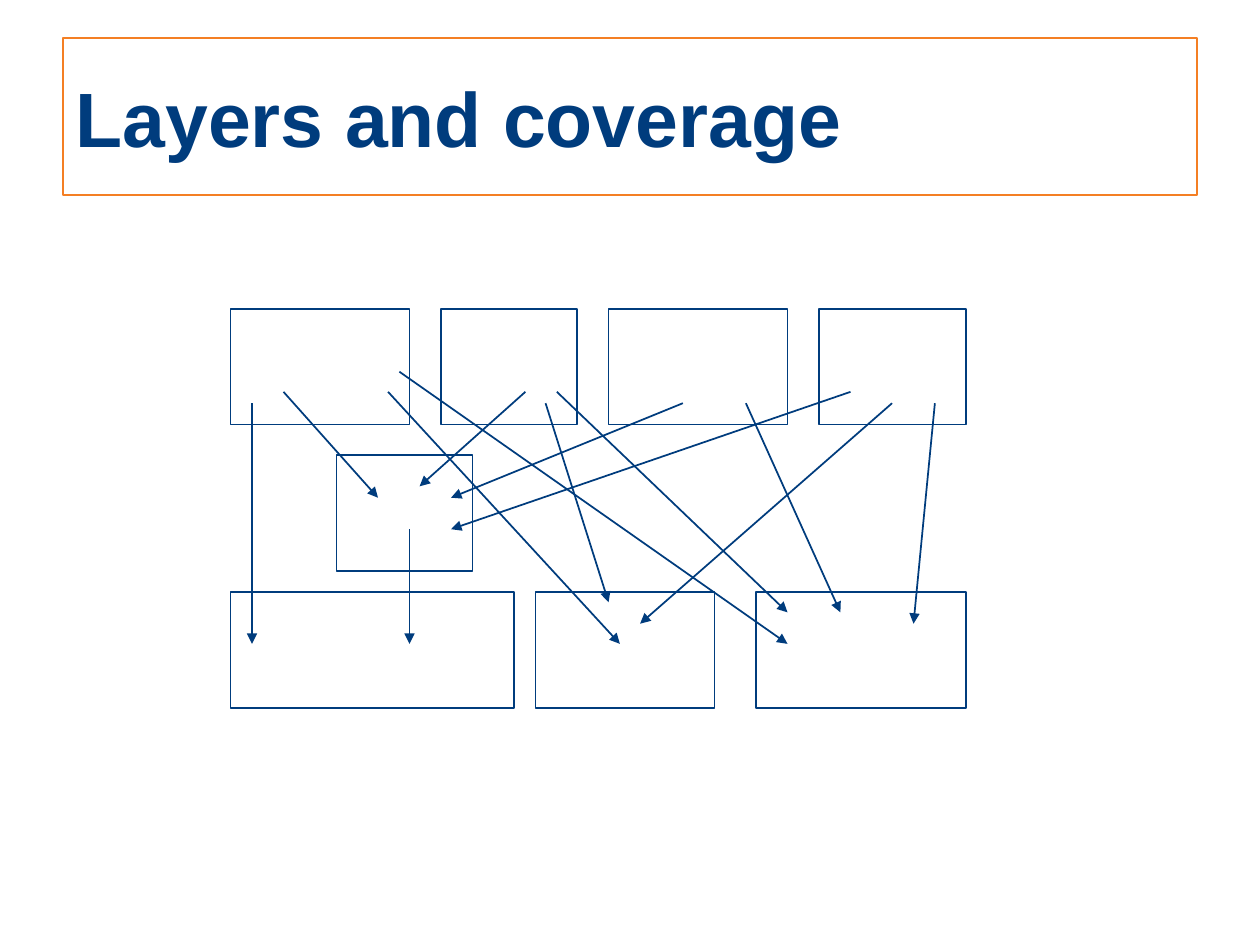
from pptx import Presentation
from pptx.dml.color import RGBColor
from pptx.enum import shapes, text
from pptx.oxml.ns import qn
from pptx.util import Inches, Pt
from lxml import etree

COLORS = {"navy": "003C7D", "orange": "F47F24"}


def outline(shape, color):
    """Give a shape or connector a one-point line."""
    shape.line.color.rgb = RGBColor.from_string(COLORS[color])
    shape.line.width = Pt(1)


prs = Presentation()
prs.slide_width, prs.slide_height = Inches(10), Inches(7.5)
slide = prs.slides.add_slide(prs.slide_layouts[5])

title = slide.shapes.title
place = {"left": 0.5, "top": 0.3, "width": 9, "height": 1.25}
for name, value in place.items():
    setattr(title, name, Inches(value))
outline(title, "orange")
frame = title.text_frame
frame.text = "Layers and coverage"
frame.vertical_anchor = text.MSO_ANCHOR.MIDDLE
frame.paragraphs[0].alignment = text.PP_ALIGN.LEFT
font = frame.paragraphs[0].runs[0].font
for name, value in {"name": "Arial", "size": Pt(44), "bold": True}.items():
    setattr(font, name, value)
font.color.rgb = RGBColor.from_string(COLORS["navy"])

# Each layer: top edge, then (left, width) of its boxes
layers = [
    (2.45, [(1.83, 1.42), (3.5, 1.08), (4.83, 1.42), (6.5, 1.17)]),
    (3.61, [(2.67, 1.08)]),
    (4.7, [(1.83, 2.25), (4.25, 1.42), (6, 1.67)]),
]
for top, boxes in layers:
    for left, width in boxes:
        box = slide.shapes.add_shape(
            shapes.MSO_SHAPE.RECTANGLE,
            Inches(left), Inches(top), Inches(width), Inches(0.92))
        box.shadow.inherit = False
        box.fill.background()
        outline(box, "navy")

# Each arrow: start x, y and end x, y
arrows = [
    (2.25, 3.11, 3, 3.95),
    (2, 3.2, 2, 5.11),
    (3.25, 4.2, 3.25, 5.11),
    (3.08, 3.11, 4.92, 5.11),
    (3.17, 2.95, 6.25, 5.11),
    (4.17, 3.11, 3.33, 3.86),
    (4.33, 3.2, 4.83, 4.78),
    (4.42, 3.11, 6.25, 4.86),
    (5.42, 3.2, 3.58, 3.95),
    (5.92, 3.2, 6.67, 4.86),
    (6.75, 3.11, 3.58, 4.2),
    (7.08, 3.2, 5.08, 4.95),
    (7.42, 3.2, 7.25, 4.95),
]
for ends in arrows:
    arrow = slide.shapes.add_connector(
        shapes.MSO_CONNECTOR.STRAIGHT, *[Inches(n) for n in ends])
    outline(arrow, "navy")
    etree.SubElement(arrow.line._get_or_add_ln(), qn("a:tailEnd"), type="triangle")
    etree.SubElement(arrow._element.spPr, qn("a:effectLst"))

prs.save("out.pptx")
